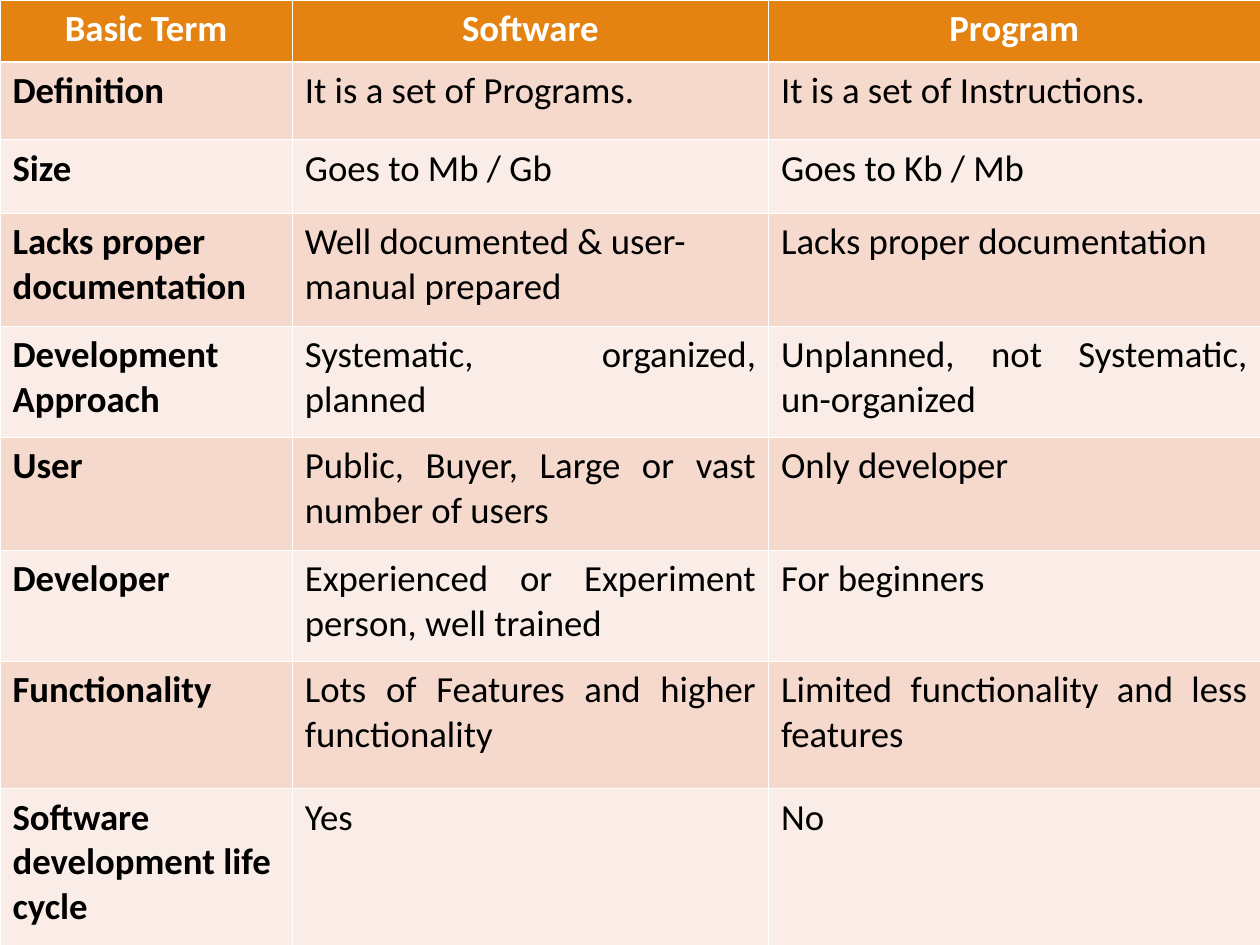
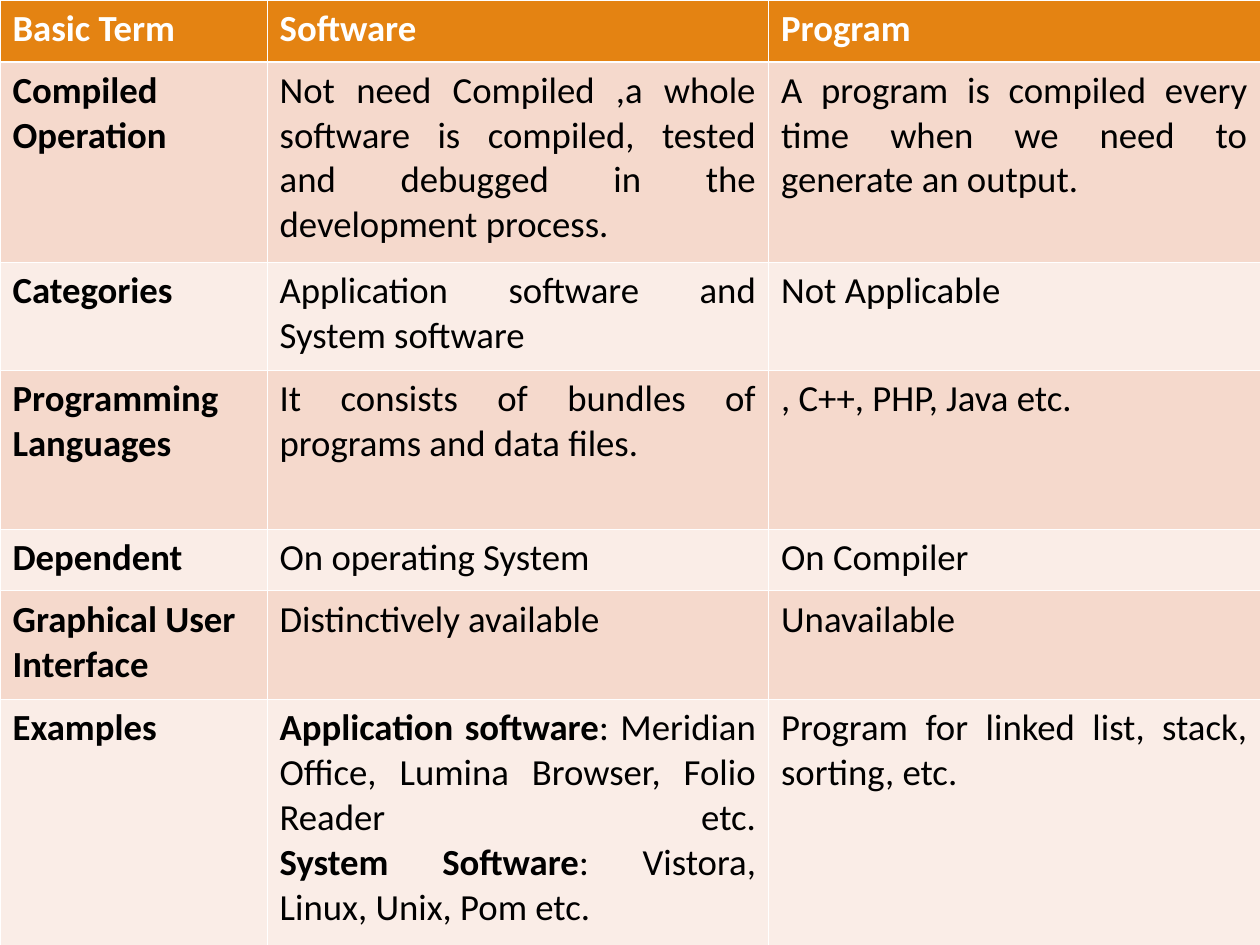
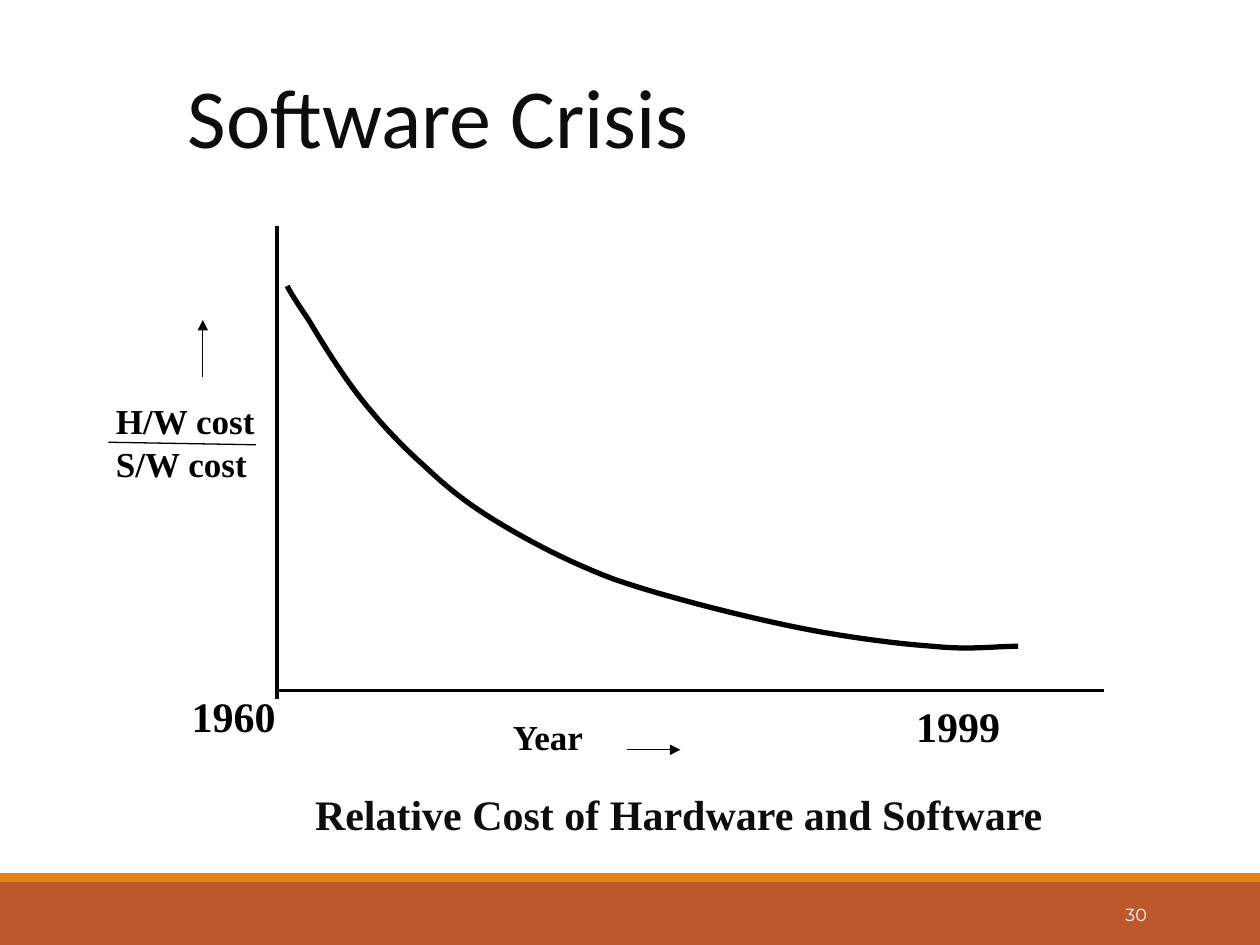
from dataclasses import dataclass

from lxml import etree
from pptx import Presentation
from pptx.dml.color import RGBColor
from pptx.enum.shapes import MSO_CONNECTOR, MSO_SHAPE
from pptx.enum.text import MSO_ANCHOR, PP_ALIGN
from pptx.oxml.ns import qn
from pptx.util import Inches, Pt

RECTANGLE = MSO_SHAPE.RECTANGLE
STRAIGHT = MSO_CONNECTOR.STRAIGHT
TOP, MIDDLE = MSO_ANCHOR.TOP, MSO_ANCHOR.MIDDLE
LEFT, CENTER, RIGHT, JUSTIFY = PP_ALIGN.LEFT, PP_ALIGN.CENTER, PP_ALIGN.RIGHT, PP_ALIGN.JUSTIFY


@dataclass(frozen=True)
class Theme:
    accent: str = "E48312"
    footer: str = "BD582C"
    band_dark: str = "F5D9CC"
    band_light: str = "FAEDE7"
    white: str = "FFFFFF"
    black: str = "000000"
    ink: str = "0D0D0D"
    body_font: str = "Calibri"
    chart_font: str = "Times New Roman"
    number_font: str = "Montserrat"
    title_size: float = 48
    caption_size: float = 24
    label_size: float = 20
    table_size: float = 21
    number_size: float = 10
    cell_border: float = 0.45
    header_border: float = 1.47
    axis_width: float = 2.25
    curve_width: float = 3
    thin_width: float = 0.75


THEME = Theme()


def rgb(color):
    return RGBColor.from_string(color)


def write(frame, text, *, size, font=THEME.body_font, color=THEME.black,
          bold=False, align=LEFT, spacing=None, gap=0):
    """Fill a frame; text is a string, or a list of lines of (text, bold) runs.

    A newline starts a paragraph, and each list item after the first a line.
    """
    paragraphs = [[[(part, bold)]] for part in text.split("\n")] if isinstance(text, str) else [text]
    for index, lines in enumerate(paragraphs):
        paragraph = frame.add_paragraph() if index else frame.paragraphs[0]
        paragraph.alignment = align
        if spacing:
            paragraph.line_spacing = spacing
        if index and gap:
            paragraph.space_before = Pt(gap)
        for line_index, line in enumerate(lines):
            if line_index:
                paragraph.add_line_break()
            for content, is_bold in line:
                run = paragraph.add_run()
                run.text = content
                run.font.size, run.font.name, run.font.bold = Pt(size), font, is_bold
                run.font.color.rgb = rgb(color)


def add_text(slide, box, text, *, anchor=TOP, side_inset=0.02, **style):
    frame = slide.shapes.add_textbox(*map(Inches, box)).text_frame
    frame.word_wrap = True
    frame.vertical_anchor = anchor
    frame.margin_left = frame.margin_right = Inches(side_inset)
    write(frame, text, **style)


def add_line(slide, start, end, width, arrow=False):
    line = slide.shapes.add_connector(STRAIGHT, *map(Inches, (*start, *end)))
    line.line.color.rgb = rgb(THEME.black)
    line.line.width = Pt(width)
    if arrow:
        etree.SubElement(line.line._get_or_add_ln(), qn("a:tailEnd"), type="triangle")
    etree.SubElement(line.element.spPr, qn("a:effectLst"))


def add_footer_bands(slide, layout):
    """Draw the bands once and move them to the layout that all slides share."""
    for placeholder in list(layout.placeholders):
        layout.shapes.element.remove(placeholder.element)
    for top, height, color in ((7, 0.5, THEME.footer), (6.93, 0.07, THEME.accent)):
        band = slide.shapes.add_shape(RECTANGLE, *map(Inches, (0, top, 10, height)))
        band.shadow.inherit = False
        band.fill.solid()
        band.fill.fore_color.rgb = rgb(color)
        band.line.fill.background()
        layout.shapes.element.append(band.element)


# Comparison tables
def style_cell(cell, fill, top, bottom):
    thin = THEME.cell_border
    properties = cell._tc.get_or_add_tcPr()
    for side, width in (("lnL", thin), ("lnR", thin), ("lnT", top), ("lnB", bottom)):
        border = etree.SubElement(properties, qn(f"a:{side}"), w=str(int(Pt(width))))
        solid = etree.SubElement(border, qn("a:solidFill"))
        etree.SubElement(solid, qn("a:srgbClr"), val=THEME.white)
    cell.fill.solid()
    cell.fill.fore_color.rgb = rgb(fill)


def add_comparison(slide, box, columns, rows, header_align, left_terms=()):
    """Each row is a height followed by term, software and program."""
    rows = [(0.49, "Basic Term", "Software", "Program"), *rows]
    table = slide.shapes.add_table(len(rows), len(columns), *map(Inches, box)).table
    for column, width in zip(table.columns, columns):
        column.width = Inches(width)
    for r, (height, *texts) in enumerate(rows):
        table.rows[r].height = Inches(height)
        header = r == 0
        fill = THEME.accent if header else (THEME.band_light, THEME.band_dark)[r % 2]
        top = THEME.header_border if r == 1 else THEME.cell_border
        bottom = THEME.header_border if header else THEME.cell_border
        for c, text in enumerate(texts):
            cell = table.cell(r, c)
            style_cell(cell, fill, top, bottom)
            align = LEFT if c == 0 or texts[0] in left_terms else JUSTIFY
            write(cell.text_frame, text, size=THEME.table_size,
                  color=THEME.white if header else THEME.black,
                  bold=header or c == 0, align=header_align if header else align)


BASICS = [
    (0.62, "Definition", "It is a set of Programs.", "It is a set of Instructions."),
    (0.58, "Size", "Goes to Mb / Gb", "Goes to Kb / Mb"),
    (0.9, "Lacks proper documentation", "Well documented & user-manual prepared",
     "Lacks proper documentation"),
    (0.88, "Development\nApproach", "Systematic, organized, planned",
     "Unplanned, not Systematic, un-organized"),
    (0.9, "User", "Public, Buyer, Large or vast number of users", "Only developer"),
    (0.88, "Developer", "Experienced or Experiment person, well trained", "For beginners"),
    (1.01, "Functionality", "Lots of Features and higher functionality",
     "Limited functionality and less features"),
    (1.25, "Software development life cycle", "Yes", "No"),
]

EXAMPLES = [
    [("Application software", True),
     (": Meridian Office, Lumina Browser, Folio Reader etc.", False)],
    [("System Software", True), (": Vistora, Linux, Unix, Pom etc.", False)],
]

OPERATION = [
    (1.59, "Compiled\nOperation",
     "Not need Compiled ,a whole software is compiled, tested and debugged "
     "in the development process.",
     "A program is compiled every time when we need to generate an output."),
    (0.86, "Categories", "Application software and System software", "Not Applicable"),
    (1.26, "Programming Languages", "It consists of bundles of programs and data files.",
     ", C++, PHP, Java etc."),
    (0.49, "Dependent", "On operating System", "On Compiler"),
    (0.86, "Graphical User Interface", "Distinctively available", "Unavailable"),
    (1.96, "Examples", EXAMPLES, "Program for linked list, stack, sorting, etc."),
]


# Cost curve: a start point, then two control points and an end for each arc
COST_START = (0.08, 0.48)
COST_ARCS = [
    ((0.11, 0.54), (0.15, 0.6), (0.25, 0.75)),
    ((0.34, 0.9), (0.51, 1.18), (0.67, 1.38)),
    ((0.82, 1.57), (0.99, 1.75), (1.17, 1.91)),
    ((1.35, 2.08), (1.51, 2.21), (1.76, 2.36)),
    ((2.01, 2.51), (2.31, 2.67), (2.68, 2.81)),
    ((3.06, 2.94), (3.61, 3.08), (4.03, 3.17)),
    ((4.45, 3.26), (4.91, 3.32), (5.21, 3.34)),
    ((5.5, 3.37), (5.68, 3.34), (5.88, 3.34)),
]


def sample_arcs(start, arcs, steps=12):
    """Points along a chain of cubic Bézier arcs."""
    points = [start]
    for first, second, end in arcs:
        for step in range(1, steps + 1):
            t = step / steps
            u = 1 - t
            points.append(tuple(
                u**3 * a + 3 * u * u * t * b + 3 * u * t * t * c + t**3 * d
                for a, b, c, d in zip(start, first, second, end)))
        start = end
    return points


def add_cost_plot(slide, left, top):
    """Axes, curve and labels, placed from the top of the vertical axis."""
    def at(x, y):
        return left + x, top + y

    # Axes
    add_line(slide, at(0, 0), at(0, 3.76), THEME.axis_width)
    add_line(slide, at(0, 3.69), at(6.56, 3.69), THEME.axis_width)

    # Falling cost ratio
    points = [tuple(map(Inches, at(*point))) for point in sample_arcs(COST_START, COST_ARCS)]
    builder = slide.shapes.build_freeform(*points[0])
    builder.add_line_segments(points[1:], close=False)
    curve = builder.convert_to_shape()
    curve.shadow.inherit = False
    curve.fill.background()
    curve.line.color.rgb = rgb(THEME.black)
    curve.line.width = Pt(THEME.curve_width)

    # Axis labels and years
    for x, y, width, height, text, size in (
            (1.85, 3.89, 0.78, 0.43, "Year", THEME.label_size),
            (-1.3, 1.38, 1.15, 1.13, "H/W cost\nS/W cost", THEME.label_size),
            (-0.7, 3.7, 0.91, 0.5, "1960", THEME.caption_size),
            (5.05, 3.78, 0.91, 0.5, "1999", THEME.caption_size)):
        add_text(slide, (*at(x, y), width, height), text, size=size,
                 font=THEME.chart_font, bold=True, spacing=0.85, gap=4.6)

    # Fraction bar and direction arrows
    add_line(slide, at(-1.34, 1.72), at(-0.17, 1.74), THEME.thin_width)
    add_line(slide, at(-0.59, 1.2), at(-0.59, 0.75), THEME.thin_width, arrow=True)
    add_line(slide, at(2.78, 4.16), at(3.2, 4.16), THEME.thin_width, arrow=True)


def add_crisis(slide):
    add_text(slide, (8.12, 7.06, 1.08, 0.4), "30", anchor=MIDDLE, side_inset=0.1,
             size=THEME.number_size, font=THEME.number_font, color=THEME.white, align=RIGHT)
    add_text(slide, (1.47, 0.35, 8.5, 1.25), "Software Crisis", anchor=MIDDLE,
             size=THEME.title_size, color=THEME.ink, spacing=0.85)
    add_cost_plot(slide, 2.2, 1.79)
    add_text(slide, (2.48, 6.27, 5.99, 0.5), "Relative Cost of Hardware and Software",
             size=THEME.caption_size, font=THEME.chart_font, color=THEME.ink,
             bold=True, spacing=0.85)


def main():
    deck = Presentation()
    deck.slide_width, deck.slide_height = Inches(10), Inches(7.5)
    blank = deck.slide_layouts[6]
    basics, operation, crisis = (deck.slides.add_slide(blank) for _ in range(3))
    add_footer_bands(basics, blank)

    page = (0, 0, 10, 7.5)
    add_comparison(basics, page, (2.32, 3.78, 3.9), BASICS, CENTER,
                   left_terms=("Lacks proper documentation",))
    add_comparison(operation, page, (2.12, 3.98, 3.9), OPERATION, LEFT)
    add_crisis(crisis)
    deck.save("out.pptx")


if __name__ == "__main__":
    main()
